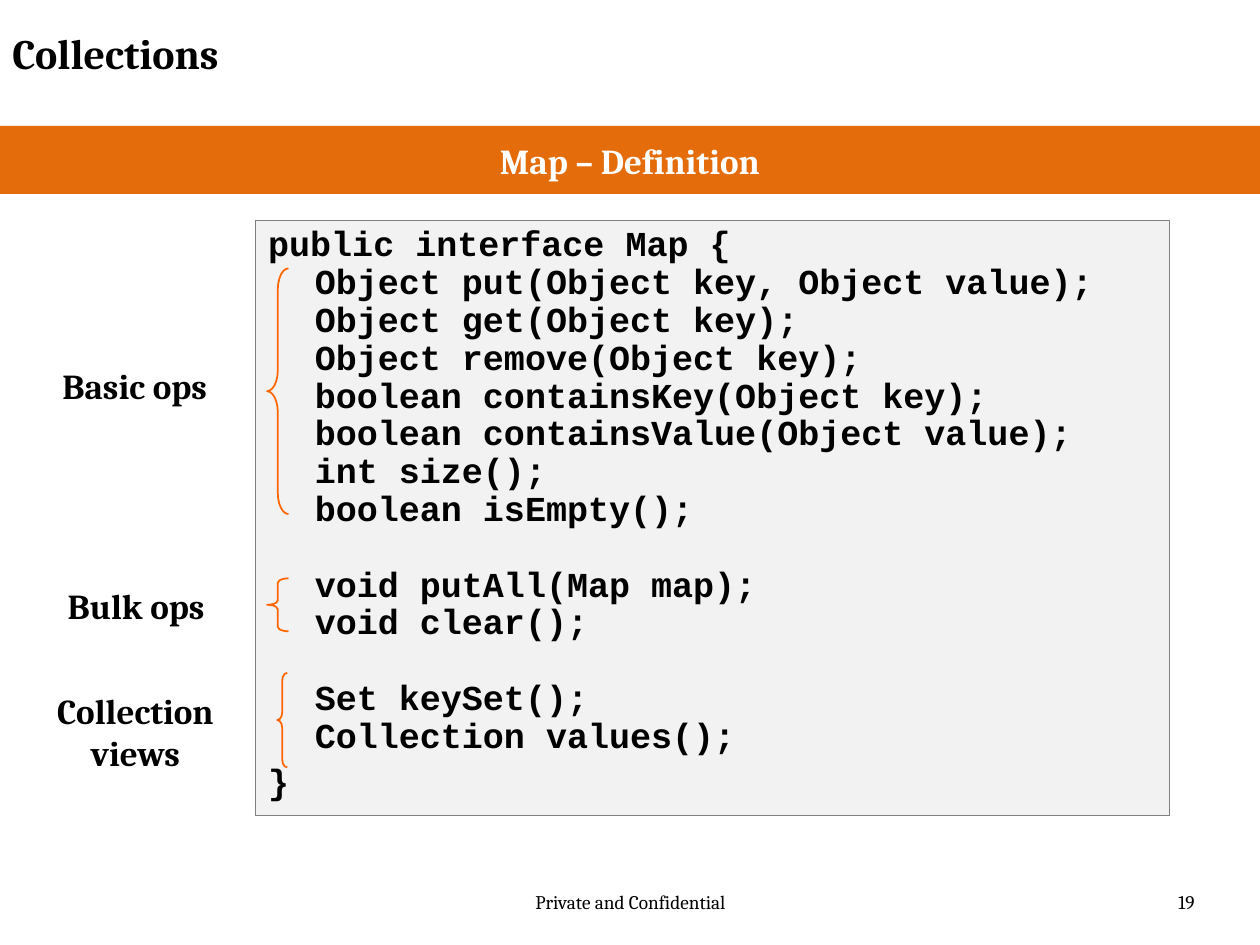
from pptx import Presentation
from pptx import util as u
from pptx.dml.color import RGBColor
from pptx.enum import shapes, text

COLORS = {
    "ink": "000000",
    "white": "FFFFFF",
    "banner": "E46C0A",
    "panel": "F2F2F2",
    "border": "808080",
    "brace": "FF6600",
}
SERIF = "Cambria"
MONO = "Courier New"
LEFT, CENTER, RIGHT = text.PP_ALIGN.LEFT, text.PP_ALIGN.CENTER, text.PP_ALIGN.RIGHT

METHODS = [
    "Object put(Object key, Object value);",
    "Object get(Object key);",
    "Object remove(Object key);",
    "boolean containsKey(Object key);",
    "boolean containsValue(Object value);",
    "int size();",
    "boolean isEmpty();",
    "",
    "void putAll(Map map);",
    "void clear();",
    "",
    "Set keySet();",
    "Collection values();",
]
GROUPS = [
    (["Basic ops"], (0.37, 2.84, 1.4, 0.44), (2.12, 2.13, 0.17, 1.95), 0.98),
    (["Bulk ops"], (0.42, 4.59, 1.32, 0.44), (2.12, 4.59, 0.17, 0.42), 0.21),
    (["Collection", "views"], (0.33, 5.42, 1.49, 0.77), (2.2, 5.34, 0.08, 0.75), 0.75),
]


def color(name):
    return RGBColor.from_string(COLORS[name])


class SlideBuilder:
    def __init__(self, page):
        self.page = page

    def span(self, para, words, size=20, font=SERIF, ink="ink", bold=True):
        span = para.add_run()
        span.text = words
        span.font.size = u.Pt(size)
        span.font.name = font
        span.font.bold = bold
        span.font.color.rgb = color(ink)

    def shape(self, kind, place, fill=None, line=None, width=1):
        shape = self.page.shapes.add_shape(kind, *map(u.Inches, place))
        shape.shadow.inherit = False
        if fill:
            shape.fill.solid()
            shape.fill.fore_color.rgb = color(fill)
        else:
            shape.fill.background()
        if line:
            shape.line.color.rgb = color(line)
            shape.line.width = u.Pt(width)
        else:
            shape.line.fill.background()
        return shape

    def label(self, lines, place, align=CENTER, wrap=True, **style):
        box = self.page.shapes.add_textbox(*map(u.Inches, place))
        frame = box.text_frame
        frame.word_wrap = wrap
        for index, words in enumerate(lines):
            para = frame.add_paragraph() if index else frame.paragraphs[0]
            para.alignment = align
            self.span(para, words, **style)

    def banner(self, words, place):
        box = self.shape(shapes.MSO_SHAPE.RECTANGLE, place, fill="banner")
        frame = box.text_frame
        frame.vertical_anchor = text.MSO_ANCHOR.MIDDLE
        para = frame.paragraphs[0]
        para.alignment = CENTER
        self.span(para, words, ink="white")

    def code(self, blocks, place):
        box = self.shape(shapes.MSO_SHAPE.RECTANGLE, place, "panel", "border", 0.75)
        frame = box.text_frame
        frame.word_wrap = True
        frame.vertical_anchor = text.MSO_ANCHOR.TOP
        for index, lines in enumerate(blocks):
            para = frame.add_paragraph() if index else frame.paragraphs[0]
            para.alignment = LEFT
            para.line_spacing = 0.9
            para.space_before = u.Pt(5)
            properties = para._p.get_or_add_pPr()
            properties.set("marL", str(u.Inches(0.37)))
            properties.set("indent", str(u.Inches(-0.37)))
            for number, words in enumerate(lines):
                if number:
                    para.add_line_break()
                    para._p[-1].get_or_add_rPr().set("sz", "2000")
                if words:
                    self.span(para, words, font=MONO)

    def brace(self, place, curve):
        brace = self.shape(shapes.MSO_SHAPE.LEFT_BRACE, place, line="brace")
        brace.adjustments[0] = curve
        brace.adjustments[1] = 0.5


def main():
    deck = Presentation()
    deck.slide_width = u.Inches(10)
    deck.slide_height = u.Inches(7.5)
    builder = SlideBuilder(deck.slides.add_slide(deck.slide_layouts[6]))

    builder.label(["Private and Confidential"], (3.42, 7.02, 3.17, 0.4), size=11, bold=False)
    builder.label(["19"], (7.25, 7.02, 2.33, 0.4), RIGHT, size=11, bold=False)
    builder.label(["Collections"], (0, 0.17, 7.58, 0.62), LEFT, size=24)
    builder.code([["public interface Map {"] + METHODS, ["}"]], (2.03, 1.75, 7.25, 4.72))
    for lines, label_place, brace_place, curve in GROUPS:
        builder.brace(brace_place, curve)
        builder.label(lines, label_place, wrap=False)
    builder.banner("Map – Definition", (0, 1, 10, 0.54))
    deck.save("out.pptx")


if __name__ == "__main__":
    main()
